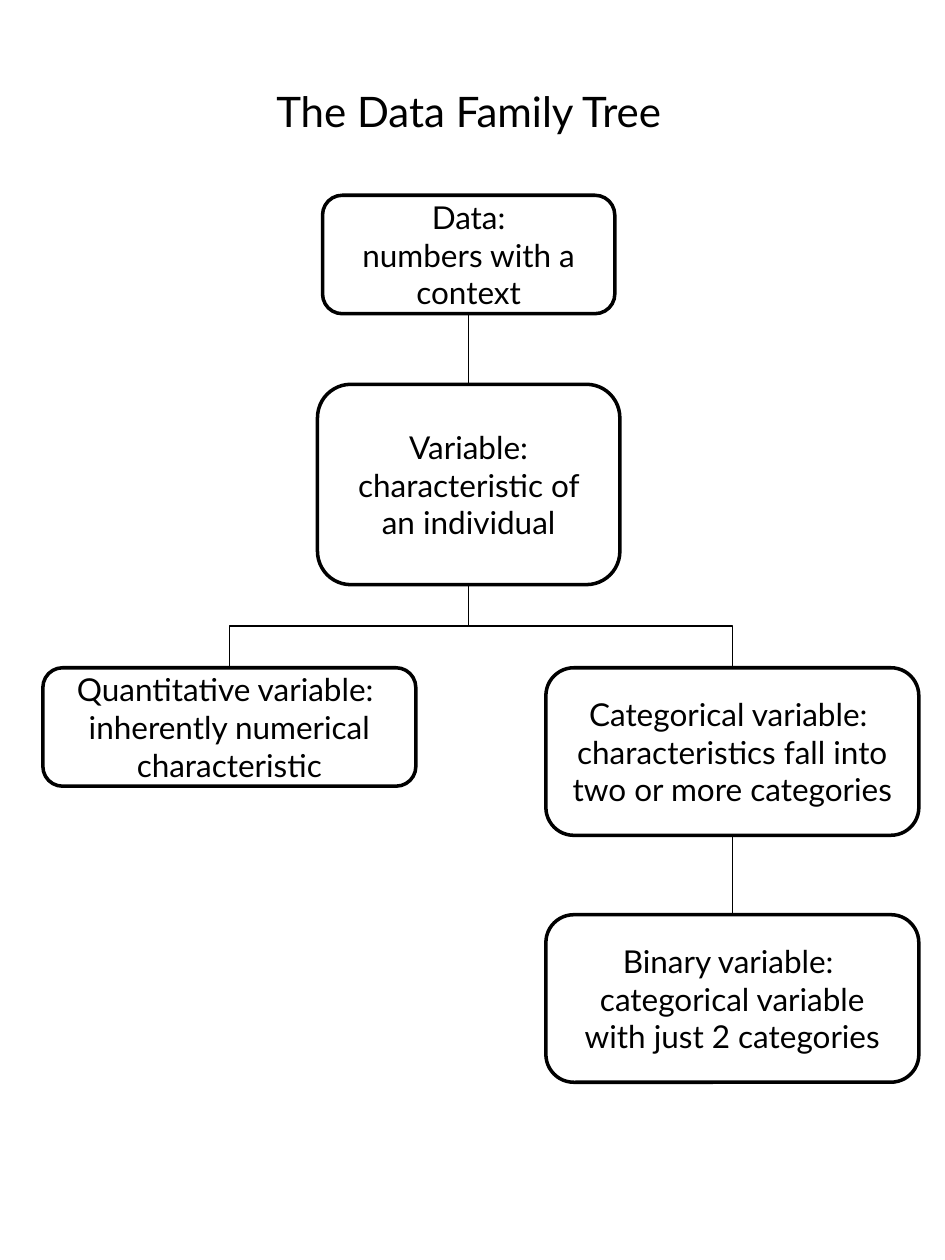
from dataclasses import dataclass

from lxml.etree import SubElement
from pptx import Presentation
from pptx.dml.color import RGBColor
from pptx.enum.shapes import MSO_CONNECTOR, MSO_SHAPE
from pptx.enum.text import MSO_ANCHOR, PP_ALIGN
from pptx.oxml.ns import qn
from pptx.util import Inches, Pt

WIDTH, HEIGHT = Inches(7.5), Inches(10)
FONT, INK, PAPER = "Lato", "000000", "FFFFFF"
LEFT, MIDDLE, RIGHT = 24.27, 49.6, 77.5


@dataclass(frozen=True)
class Node:
    center: float
    top: float
    width: float
    height: float
    paragraphs: tuple[str, ...]

    @property
    def bottom(self) -> float:
        return self.top + self.height


def across(share: float) -> int:
    return int(WIDTH * share / 100)


def down(share: float) -> int:
    return int(HEIGHT * share / 100)


def color(value: str) -> RGBColor:
    return RGBColor.from_string(value)


def frame(node: Node) -> tuple[int, int, int, int]:
    return (across(node.center - node.width / 2), down(node.top),
            across(node.width), down(node.height))


def write(tf, paragraphs: tuple[str, ...], size: float) -> None:
    tf.word_wrap = True
    for i, text in enumerate(paragraphs):
        p = tf.add_paragraph() if i else tf.paragraphs[0]
        p.alignment = PP_ALIGN.CENTER
        for j, line in enumerate(text.split("\n")):
            if j:
                p.add_line_break()
            r = p.add_run()
            r.text = line
            r.font.name, r.font.size = FONT, Pt(size)
            r.font.color.rgb = color(INK)


def draw_title(s, node: Node) -> None:
    write(s.shapes.add_textbox(*frame(node)).text_frame, node.paragraphs, 24)


def draw_node(s, node: Node) -> None:
    sp = s.shapes.add_shape(MSO_SHAPE.ROUNDED_RECTANGLE, *frame(node))
    sp.shadow.inherit = False
    sp.fill.solid()
    sp.fill.fore_color.rgb = color(PAPER)
    sp.line.color.rgb = color(INK)
    sp.line.width = Pt(2)
    sp.text_frame.vertical_anchor = MSO_ANCHOR.MIDDLE
    write(sp.text_frame, node.paragraphs, 18)


def draw_link(s, parent: Node, child: Node) -> None:
    x1, y1 = across(child.center), down(child.top)
    x2, y2 = across(parent.center), down(parent.bottom)
    if x1 == x2:
        cxn = s.shapes.add_connector(MSO_CONNECTOR.STRAIGHT, x2, y2, x1, y1)
    else:
        side = 1 if x1 > x2 else -1
        cx, cy = (x1 + x2) // 2, (y1 + y2) // 2
        run, rise = side * (y1 - y2) // 2, abs(x1 - x2) // 2
        cxn = s.shapes.add_connector(
            MSO_CONNECTOR.ELBOW, cx - run, cy + rise, cx + run, cy - rise)
        turn = 270 if side > 0 else 90
        cxn._element.spPr.find(qn("a:xfrm")).set("rot", str(turn * 60000))
    cxn.line.color.rgb = color(INK)
    cxn.line.width = Pt(0.75)
    SubElement(cxn._element.spPr, qn("a:effectLst"))


def main() -> None:
    prs = Presentation()
    prs.slide_width, prs.slide_height = WIDTH, HEIGHT
    s = prs.slides.add_slide(prs.slide_layouts[6])

    title = Node(MIDDLE, 6.3, 49.87, 5, ("The Data Family Tree",))
    data = Node(MIDDLE, 15.5, 30.93, 9.4, ("Data:", "numbers with a context"))
    variable = Node(MIDDLE, 30.5, 32, 15.9,
                    ("Variable:", "characteristic of an individual"))
    quantitative = Node(
        LEFT, 53, 39.47, 9.4,
        ("Quantitative variable: \ninherently numerical characteristic",))
    categorical = Node(
        RIGHT, 53, 39.47, 13.3,
        ("Categorical variable: \ncharacteristics fall into two or more categories",))
    binary = Node(
        RIGHT, 72.6, 39.47, 13.3,
        ("Binary variable: \ncategorical variable with just 2 categories",))

    draw_title(s, title)
    for node in (data, variable, quantitative, categorical, binary):
        draw_node(s, node)
    for parent, child in ((variable, categorical), (variable, quantitative),
                          (categorical, binary), (data, variable)):
        draw_link(s, parent, child)
    prs.save("out.pptx")


if __name__ == "__main__":
    main()
